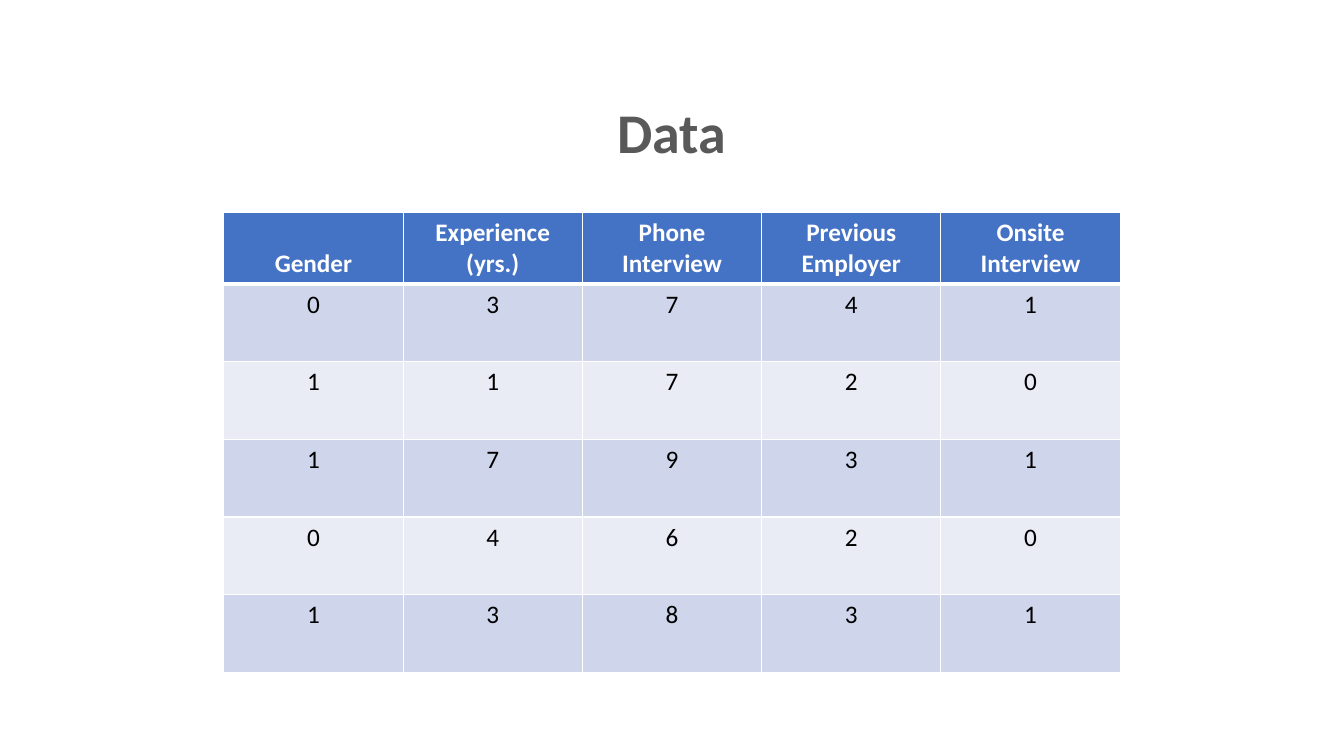
"""Build the slide with the interview data table."""
import pptx
import pptx.dml.color
import pptx.enum.text
import pptx.oxml
import pptx.oxml.ns
import pptx.util

Inches = pptx.util.Inches
Pt = pptx.util.Pt
RGBColor = pptx.dml.color.RGBColor
ANCHOR = pptx.enum.text.MSO_ANCHOR
CENTER = pptx.enum.text.PP_ALIGN.CENTER

FONT = "Calibri"
WHITE = RGBColor(0xFF, 0xFF, 0xFF)
BLACK = RGBColor(0x00, 0x00, 0x00)
TITLE_GRAY = RGBColor(0x59, 0x59, 0x59)
HEADER_BLUE = RGBColor(0x44, 0x72, 0xC4)
BANDS = (RGBColor(0xCF, 0xD5, 0xEA), RGBColor(0xE9, 0xEB, 0xF5))

HEADERS = (
    ["Gender"],
    ["Experience", "(yrs.)"],
    ["Phone Interview"],
    ["Previous Employer"],
    ["Onsite Interview"],
)
CANDIDATES = (
    (0, 3, 7, 4, 1),
    (1, 1, 7, 2, 0),
    (1, 7, 9, 3, 1),
    (0, 4, 6, 2, 0),
    (1, 3, 8, 3, 1),
)


def write_lines(frame, lines, size, color, bold):
    """Write each line as a centred paragraph with one run."""
    for index, line in enumerate(lines):
        paragraph = frame.add_paragraph() if index else frame.paragraphs[0]
        paragraph.alignment = CENTER
        run = paragraph.add_run()
        run.text = line
        run.font.name = FONT
        run.font.size = Pt(size)
        run.font.bold = bold
        run.font.color.rgb = color


def add_borders(cell, top, bottom):
    """Draw white borders, with top and bottom widths in points."""
    properties = cell._tc.get_or_add_tcPr()
    for side, width in (("L", 1), ("R", 1), ("T", top), ("B", bottom)):
        properties.append(pptx.oxml.parse_xml(
            f'<a:ln{side} {pptx.oxml.ns.nsdecls("a")} w="{Pt(width)}">'
            f'<a:solidFill><a:srgbClr val="{WHITE}"/></a:solidFill>'
            f'</a:ln{side}>'))


def fill_row(table, row, texts, fill, color, is_header):
    """Format one table row and write its cells."""
    for column, lines in enumerate(texts):
        cell = table.cell(row, column)
        cell.vertical_anchor = ANCHOR.BOTTOM if is_header else ANCHOR.TOP
        add_borders(cell, 3 if row == 1 else 1, 3 if is_header else 1)
        cell.fill.solid()
        cell.fill.fore_color.rgb = fill
        write_lines(cell.text_frame, lines, 18, color, is_header)


def add_title(slide, text):
    """Place and format the slide title."""
    title = slide.shapes.title
    title.left, title.top = Inches(4.51), Inches(0.67)
    title.width, title.height = Inches(4.31), Inches(1.26)
    title.text_frame.vertical_anchor = ANCHOR.MIDDLE
    write_lines(title.text_frame, [text], 40, TITLE_GRAY, True)


def add_data_table(slide):
    """Add the table of candidates under its header row."""
    table = slide.shapes.add_table(
        len(CANDIDATES) + 1, len(HEADERS),
        Inches(2.22), Inches(2.11), Inches(8.89), Inches(4.55)).table
    for column in table.columns:
        column.width = Inches(8.89 / len(HEADERS))
    for index, row in enumerate(table.rows):
        row.height = Inches(0.77 if index else 0.7)
    fill_row(table, 0, HEADERS, HEADER_BLUE, WHITE, True)
    for row, candidate in enumerate(CANDIDATES, start=1):
        values = [[str(value)] for value in candidate]
        fill_row(table, row, values, BANDS[(row - 1) % 2], BLACK, False)


def main():
    """Create and save the presentation."""
    presentation = pptx.Presentation()
    presentation.slide_width = Inches(13.33)
    presentation.slide_height = Inches(7.5)
    slide = presentation.slides.add_slide(presentation.slide_layouts[5])
    add_data_table(slide)
    add_title(slide, "Data")
    presentation.save("out.pptx")


if __name__ == "__main__":
    main()
